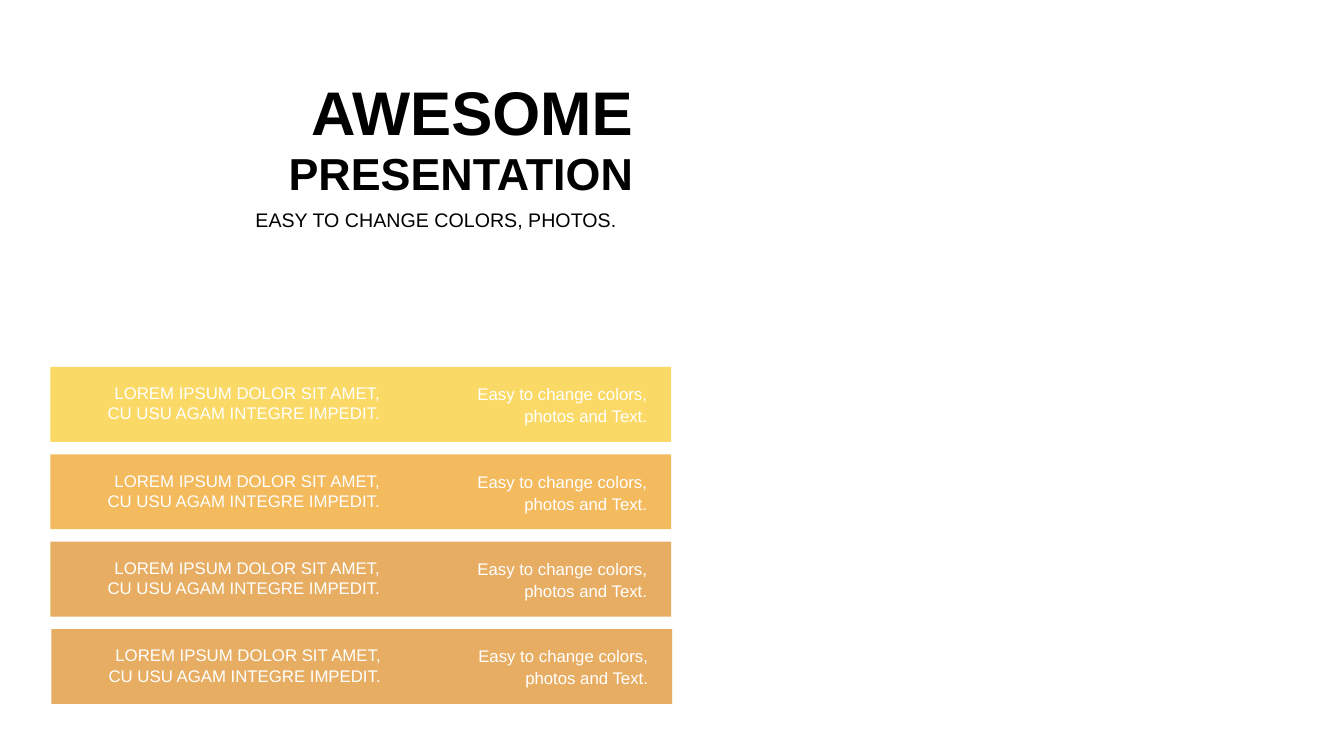
import pptx
import pptx.util
import pptx.dml.color
import pptx.enum.shapes
import pptx.enum.text
import pptx.oxml

Pt = pptx.util.Pt
Anchor = pptx.enum.text.MSO_ANCHOR


class Deck:
    """Hold the style and the current slide, and draw each kind of element."""

    font = "Arial"
    hues = {"white": "FFFFFF", "black": "000000", "yellow": "FAC926",
            "orange": "EF9E1B", "amber": "DE8D22"}

    def __init__(self):
        self.file = pptx.Presentation()
        self.file.slide_width = Pt(960)
        self.file.slide_height = Pt(540)
        self.slide = self.file.slides.add_slide(self.file.slide_layouts[5])

    def tint(self, name):
        return pptx.dml.color.RGBColor.from_string(self.hues[name])

    def bar(self, x, y, w, h, hue, alpha):
        kind = pptx.enum.shapes.MSO_SHAPE.RECTANGLE
        bar = self.slide.shapes.add_shape(kind, Pt(x), Pt(y), Pt(w), Pt(h))
        bar.shadow.inherit = False
        bar.line.fill.background()
        bar.fill.solid()
        bar.fill.fore_color.rgb = self.tint(hue)
        color = bar.fill._xPr.find(".//" + pptx.oxml.ns.qn("a:srgbClr"))
        node = pptx.oxml.ns.qn("a:alpha")
        color.makeelement(node, {})
        pptx.oxml.xmlchemy.OxmlElement("a:alpha")
        mark = color.makeelement(node, {"val": str(alpha * 1000)})
        color.append(mark)

    def style(self, box, text, size, hue, bold=False, anchor=Anchor.TOP,
              space=1.0, inset=7.2):
        frame = box.text_frame
        frame.text = text
        frame.word_wrap = True
        frame.auto_size = pptx.enum.text.MSO_AUTO_SIZE.SHAPE_TO_FIT_TEXT
        frame.vertical_anchor = anchor
        frame.margin_left = Pt(7.2)
        frame.margin_right = Pt(inset)
        frame.margin_top = frame.margin_bottom = Pt(3.6)
        for para in frame.paragraphs:
            para.alignment = pptx.enum.text.PP_ALIGN.RIGHT
            para.line_spacing = space
            for run in para.runs:
                run.font.name = self.font
                run.font.size = Pt(size)
                run.font.bold = bold
                run.font.color.rgb = self.tint(hue)

    def text(self, x, y, w, h, text, size, hue, **look):
        box = self.slide.shapes.add_textbox(Pt(x), Pt(y), Pt(w), Pt(h))
        self.style(box, text, size, hue, **look)

    def title(self, x, y, w, h, text, size, hue, **look):
        box = self.slide.shapes.title
        box.left, box.top, box.width, box.height = Pt(x), Pt(y), Pt(w), Pt(h)
        self.style(box, text, size, hue, **look)
        self.slide.shapes._spTree.append(box._element)

    def row(self, x, y, hue):
        self.bar(x, y, 443.5, 53.5, hue, 70)
        self.text(x + 267.1, y + 7.2, 166.3, 38.2,
                  "Easy to change colors, photos and Text.", 12, "white",
                  space=1.1)
        self.text(x + 11.5, y + 7.9, 231.1, 36,
                  "LOREM IPSUM DOLOR SIT AMET,\nCU USU AGAM INTEGRE IMPEDIT.",
                  12, "white", anchor=Anchor.MIDDLE)


def main():
    deck = Deck()
    deck.bar(36.7, 0, 443.5, 540, "white", 50)
    rows = [(36, "yellow"), (36, "orange"), (36, "amber"), (36.7, "amber")]
    for num, (left, hue) in enumerate(rows):
        deck.row(left, 262.1 + 62.4 * num, hue)
    deck.title(124.6, 49, 334.8, 60.5, "AWESOME", 44, "black",
               bold=True, anchor=Anchor.MIDDLE)
    deck.text(124.6, 100.1, 334.8, 46.1, "PRESENTATION", 32, "black",
              bold=True, anchor=Anchor.MIDDLE)
    deck.text(124.6, 144.7, 334.8, 24.5, "EASY TO CHANGE COLORS, PHOTOS.",
              14, "black", inset=19)
    deck.file.save("out.pptx")


if __name__ == "__main__":
    main()
